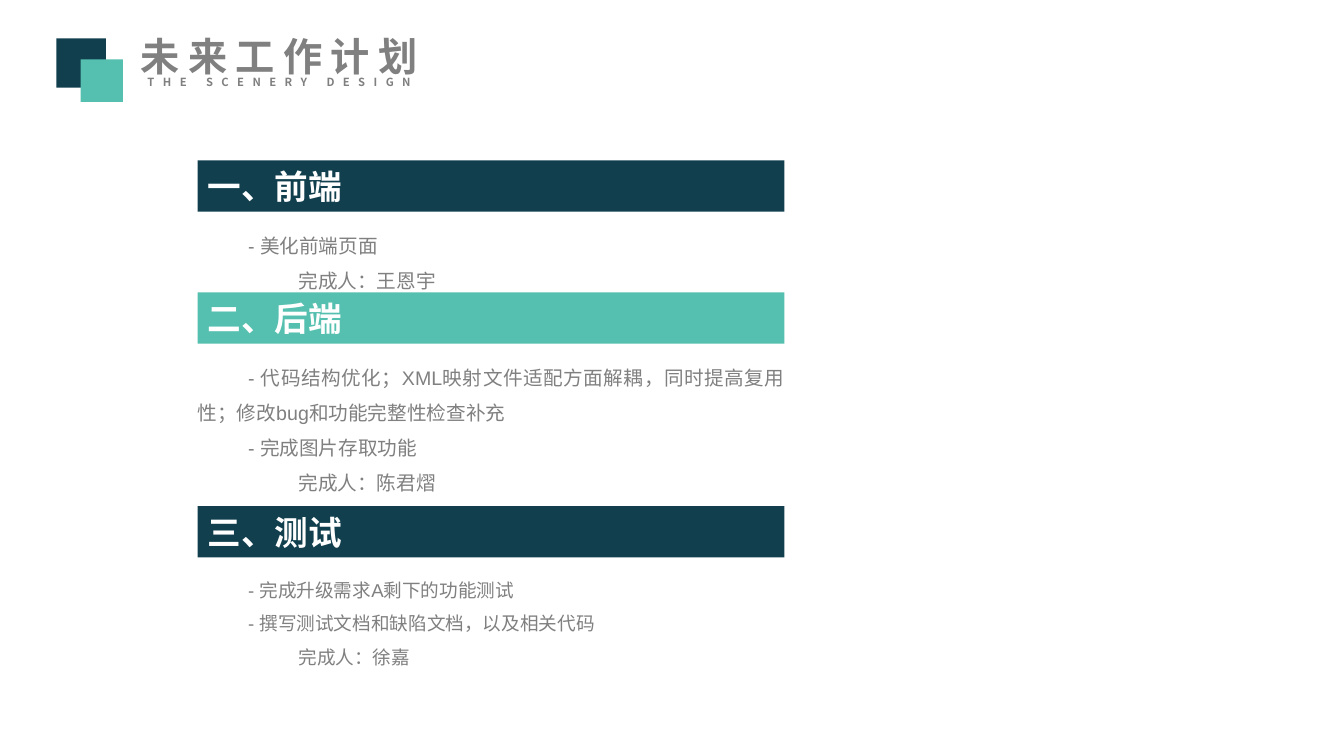
from pptx import Presentation
from pptx.dml.color import RGBColor
from pptx.enum.shapes import MSO_SHAPE as Shape
from pptx.enum.text import MSO_ANCHOR as Anchor, MSO_AUTO_SIZE as AutoSize, PP_ALIGN as Align
from pptx.oxml.ns import qn
from pptx.util import Inches, Pt
from lxml.etree import SubElement

NAVY, TEAL, GRAY, WHITE = "113F4E", "55C0AF", "808080", "FFFFFF"
CJK_FONT = "Noto Sans CJK SC"
LEFT, WIDTH, BAR_HEIGHT, BODY_OFFSET = 1.96, 5.82, 0.51, 0.61


def format_text(para, size, color, bold, font="Arial", spacing=0):
    for run in para.runs:
        run.font.size, run.font.bold, run.font.name = Pt(size), bold, font
        run.font.color.rgb = RGBColor.from_string(color)
        properties = run.font._element
        SubElement(properties, qn("a:ea")).set("typeface", CJK_FONT)
        if spacing:
            properties.set("spc", str(spacing * 100))


def add_block(page, left, top, width, height, color):
    block = page.shapes.add_shape(Shape.RECTANGLE, Inches(left), Inches(top),
                                  Inches(width), Inches(height))
    block.shadow.inherit = False
    block.fill.solid()
    block.fill.fore_color.rgb = RGBColor.from_string(color)
    block.line.fill.background()
    return block


deck = Presentation()
deck.slide_width, deck.slide_height = Inches(13.33), Inches(7.5)
page = deck.slides.add_slide(deck.slide_layouts.get_by_name("Comparison"))

# Title with its small English line
title = page.shapes.title
title.left, title.top, title.width, title.height = map(Inches, (1.24, 0.32, 3.06, 0.71))
frame = title.text_frame
frame.text = "未来工作计划\nTHE SCENERY DESIGN"
frame.word_wrap, frame.auto_size, frame.vertical_anchor = False, AutoSize.NONE, Anchor.TOP
for para, size, line_spacing in zip(frame.paragraphs, (28, 8), (0.9, 0.6)):
    para.alignment, para.line_spacing = Align.CENTER, line_spacing
    format_text(para, size, GRAY, True, CJK_FONT, spacing=6)

# Overlapping squares beside the title
add_block(page, 0.56, 0.38, 0.49, 0.49, NAVY)
add_block(page, 0.8, 0.59, 0.42, 0.42, TEAL)

# Sections: heading, bar top, bar colour, text size, text height, tasks, owner
sections = [
    ("一、前端", 1.59, NAVY, 14, 0.71, ["- 美化前端页面"], "完成人：王恩宇"),
    ("二、后端", 2.9, TEAL, 14, 1.41,
     ["- 代码结构优化；XML映射文件适配方面解耦，同时提高复用性；修改bug和功能完整性检查补充",
      "- 完成图片存取功能"], "完成人：陈君熠"),
    ("三、测试", 5.02, NAVY, 13.3, 1.01,
     ["- 完成升级需求A剩下的功能测试", "- 撰写测试文档和缺陷文档，以及相关代码"], "完成人：徐嘉"),
]
bodies = [box for box in page.placeholders if 1 <= box.placeholder_format.idx <= 4]

for body, (heading, top, color, size, height, tasks, owner) in zip(bodies, sections):
    # Heading bar
    bar = add_block(page, LEFT, top, WIDTH, BAR_HEIGHT, color)
    bar.text_frame.text = heading
    bar.text_frame.vertical_anchor = Anchor.MIDDLE
    bar.text_frame.paragraphs[0].alignment = Align.JUSTIFY
    format_text(bar.text_frame.paragraphs[0], 24, WHITE, True)

    # Tasks, with the owner indented one step further
    body.left, body.top = Inches(LEFT), Inches(top + BODY_OFFSET)
    body.width, body.height = Inches(WIDTH), Inches(height)
    frame = body.text_frame
    frame.text = "\n".join(tasks + [owner])
    frame.word_wrap, frame.auto_size, frame.vertical_anchor = True, AutoSize.NONE, Anchor.TOP
    frame.margin_left = frame.margin_right = frame.margin_top = frame.margin_bottom = 0
    for para in frame.paragraphs:
        para.alignment, para.line_spacing = Align.JUSTIFY, 1.5
        para.space_before = para.space_after = Pt(0)
        properties = para._p.get_or_add_pPr()
        properties.set("marL", str(Inches(0.5 if para.text == owner else 0)))
        properties.set("indent", str(Inches(0.5)))
        SubElement(properties, qn("a:buNone"))
        format_text(para, size, GRAY, False)

# Unused placeholders
for box in list(page.placeholders):
    if not box.text_frame.text:
        box._element.getparent().remove(box._element)

deck.save("out.pptx")
